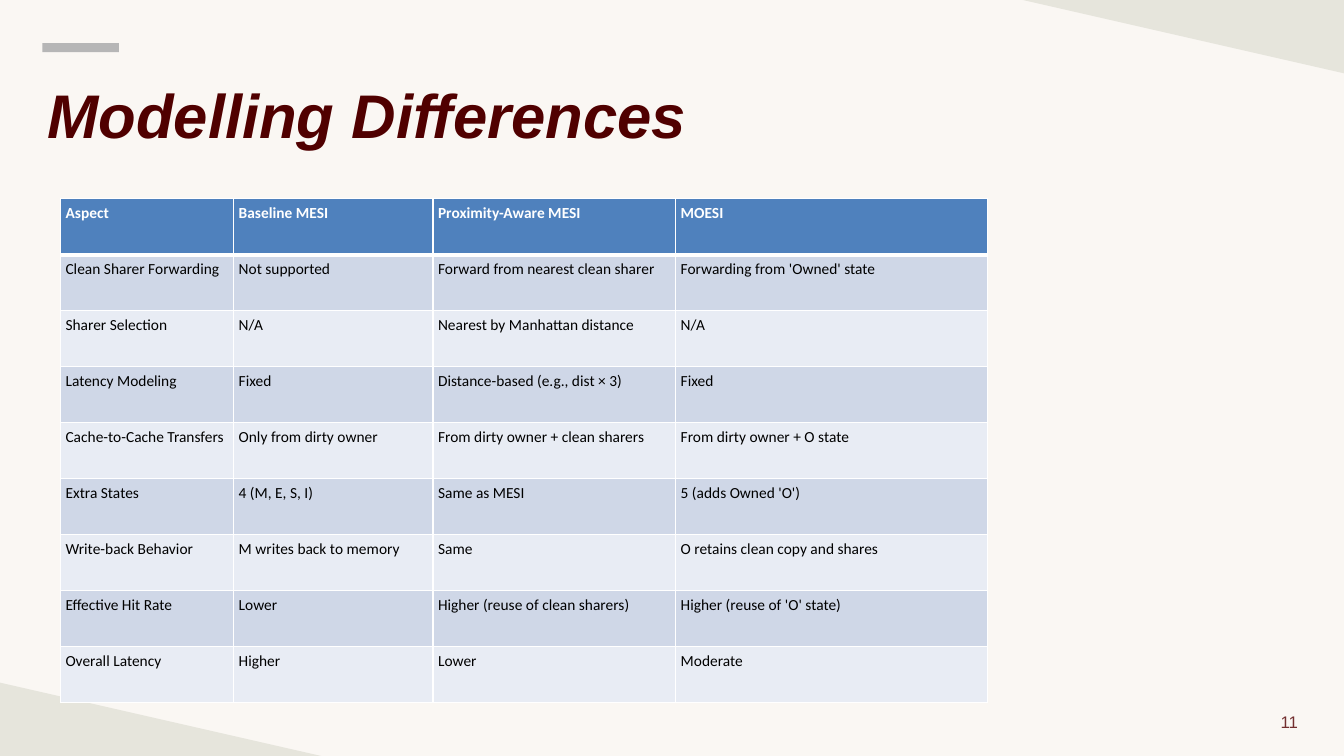
import dataclasses

import lxml.etree
import pptx
import pptx.dml.color
import pptx.enum.shapes
import pptx.enum.text
import pptx.oxml.ns
import pptx.util


@dataclasses.dataclass(frozen=True)
class Theme:
    """Colours, fonts and type sizes of the deck."""
    paper: str = "FAF7F3"
    wedge: str = "E6E5DC"
    bar: str = "B6B6B6"
    title: str = "500000"
    page: str = "732F2F"
    head: str = "4F81BD"
    odd: str = "CFD7E7"
    even: str = "E8ECF4"
    line: str = "FFFFFF"
    ink: str = "000000"
    face: str = "Arial"
    body: str = "Calibri"
    big: int = 44
    small: int = 12
    cell: int = 11


THEME = Theme()
WIDE, HIGH = pptx.util.Inches(13.33), pptx.util.Inches(7.5)
INSET = pptx.util.Inches(0.05)
COLS = (1.72, 1.98, 2.41, 3.1)
ROWS = (
    ("Aspect", "Baseline MESI", "Proximity-Aware MESI", "MOESI"),
    ("Clean Sharer Forwarding", "Not supported", "Forward from nearest clean sharer",
     "Forwarding from 'Owned' state"),
    ("Sharer Selection", "N/A", "Nearest by Manhattan distance", "N/A"),
    ("Latency Modeling", "Fixed", "Distance-based (e.g., dist × 3)", "Fixed"),
    ("Cache-to-Cache Transfers", "Only from dirty owner",
     "From dirty owner + clean sharers", "From dirty owner + O state"),
    ("Extra States", "4 (M, E, S, I)", "Same as MESI", "5 (adds Owned 'O')"),
    ("Write-back Behavior", "M writes back to memory", "Same",
     "O retains clean copy and shares"),
    ("Effective Hit Rate", "Lower", "Higher (reuse of clean sharers)",
     "Higher (reuse of 'O' state)"),
    ("Overall Latency", "Higher", "Lower", "Moderate"),
)


def grid(x, y, w, h):
    """Turn percentages of the slide into a box in EMU."""
    return tuple(round(part * side / 100)
                 for part, side in zip((x, y, w, h), (WIDE, HIGH) * 2))


def paint(fill, tone):
    """Give a fill one solid colour."""
    fill.solid()
    fill.fore_color.rgb = pptx.dml.color.RGBColor.from_string(tone)


def write(frame, text, size, tone, face=THEME.face, bold=False, slant=False,
          align=pptx.enum.text.PP_ALIGN.LEFT, space=1.0):
    """Put formatted text in a frame."""
    frame.margin_left = frame.margin_right = INSET
    frame.margin_top = frame.margin_bottom = INSET
    para = frame.paragraphs[0]
    para.alignment, para.line_spacing = align, space
    run = para.add_run()
    run.text = text
    font = run.font
    font.name, font.size, font.bold, font.italic = face, pptx.util.Pt(size), bold, slant
    font.color.rgb = pptx.dml.color.RGBColor.from_string(tone)


def add_wedge(slide, box, flip=False):
    """Draw a corner triangle in its box, turned half round if flipped."""
    x, y, w, h = box
    points = [(0, 0), (w, h), (0, h)]
    if flip:
        points = [(w - a, h - b) for a, b in points]
    path = [(x + a, y + b) for a, b in points]
    form = slide.shapes.build_freeform(*path[0], scale=1.0)
    form.add_line_segments(path[1:], close=True)
    shape = form.convert_to_shape()
    shape.shadow.inherit = False
    paint(shape.fill, THEME.wedge)
    shape.line.fill.background()


def add_bar(slide, box):
    """Draw the grey accent above the title."""
    bar = slide.shapes.add_shape(pptx.enum.shapes.MSO_SHAPE.RECTANGLE, *box)
    bar.shadow.inherit = False
    paint(bar.fill, THEME.bar)
    bar.line.fill.background()


def set_title(slide, box, text):
    """Place and fill the title placeholder."""
    title = slide.shapes.title
    title.left, title.top, title.width, title.height = box
    frame = title.text_frame
    frame.auto_size = pptx.enum.text.MSO_AUTO_SIZE.NONE
    frame.vertical_anchor = pptx.enum.text.MSO_ANCHOR.MIDDLE
    write(frame, text, THEME.big, THEME.title, bold=True, slant=True, space=0.9)


def add_page(slide, box, text):
    """Write the page number."""
    frame = slide.shapes.add_textbox(*box).text_frame
    frame.word_wrap = False
    frame.vertical_anchor = pptx.enum.text.MSO_ANCHOR.MIDDLE
    write(frame, text, THEME.small, THEME.page, align=pptx.enum.text.PP_ALIGN.RIGHT)


def rule(cell, row):
    """Draw the cell borders, thick between head and body."""
    props = cell._tc.get_or_add_tcPr()
    thick = {"T": row == 1, "B": row == 0}
    for spot, side in enumerate("LRTB"):
        width = pptx.util.Pt(3 if thick.get(side) else 1)
        line = lxml.etree.Element(pptx.oxml.ns.qn("a:ln" + side), w=str(int(width)))
        fill = lxml.etree.SubElement(line, pptx.oxml.ns.qn("a:solidFill"))
        lxml.etree.SubElement(fill, pptx.oxml.ns.qn("a:srgbClr"), val=THEME.line)
        props.insert(spot, line)


def add_grid(slide, box, rows):
    """Build the comparison table within its box."""
    x, y, w, h = box
    table = slide.shapes.add_table(len(rows), len(COLS), x, y, w, h).table
    for col, share in zip(table.columns, COLS):
        col.width = round(w * share / sum(COLS))
    for r, row in enumerate(rows):
        table.rows[r].height = round(h / len(rows))
        head = r == 0
        tone = THEME.head if head else THEME.odd if r % 2 else THEME.even
        for c, text in enumerate(row):
            cell = table.cell(r, c)
            write(cell.text_frame, text, THEME.cell, THEME.line if head else THEME.ink,
                  face=THEME.body, bold=head)
            cell.margin_left = cell.margin_right = INSET
            cell.margin_top = cell.margin_bottom = INSET
            paint(cell.fill, tone)
            rule(cell, r)


def main():
    """Build and save the slide."""
    deck = pptx.Presentation()
    deck.slide_width, deck.slide_height = WIDE, HIGH
    slide = deck.slides.add_slide(deck.slide_layouts[5])
    paint(slide.background.fill, THEME.paper)
    add_wedge(slide, grid(0, 90.3, 23.9, 9.7))
    add_wedge(slide, grid(76.1, 0, 23.9, 9.7), flip=True)
    add_bar(slide, grid(3.15, 5.7, 5.7, 1.2))
    set_title(slide, grid(3.15, 6.8, 86.5, 17.7), "Modelling Differences")
    add_page(slide, grid(94.75, 93.5, 2.2, 3.9), "11")
    add_grid(slide, grid(4.5, 26.3, 69, 66.67), ROWS)
    deck.save("out.pptx")


if __name__ == "__main__":
    main()
